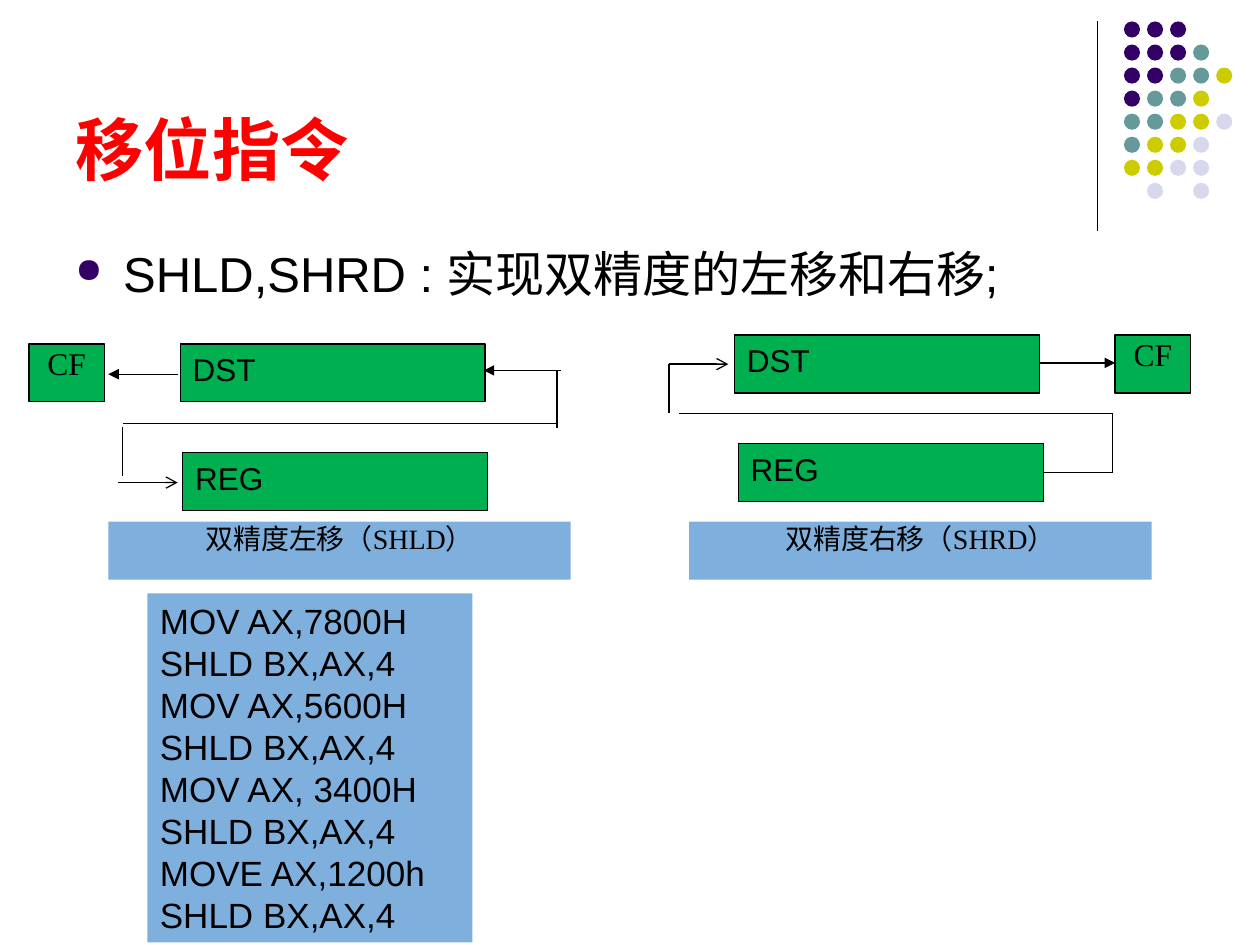
import lxml.etree
import pptx
import pptx.util
import pptx.dml.color
import pptx.enum.shapes
import pptx.enum.text
import pptx.oxml.ns

COLORS = {
    "ink": "000000", "title": "FF0000", "register": "00B050", "panel": "7FB0DD",
    "P": "330066", "T": "669999", "Y": "CCCC00", "L": "D8D8EC",
}
CJK = "Noto Sans CJK SC"
SANS = "Arial"
SERIF = "Times New Roman"
COLUMNS, ROWS = 100, 75  # square cells of a tenth of an inch
ALIGN = pptx.enum.text.PP_ALIGN
ANCHOR = pptx.enum.text.MSO_ANCHOR
SHAPE = pptx.enum.shapes.MSO_SHAPE


def xml_child(parent, tag, **attributes):
    return lxml.etree.SubElement(parent, pptx.oxml.ns.qn(f"a:{tag}"), **attributes)


class SlideBuilder:
    def __init__(self, deck):
        self.slide = deck.slides.add_slide(deck.slide_layouts[5])
        self.cell_w = deck.slide_width / COLUMNS
        self.cell_h = deck.slide_height / ROWS

    def x(self, columns):
        return round(columns * self.cell_w)

    def y(self, rows):
        return round(rows * self.cell_h)

    def place(self, left, top, width, height):
        return self.x(left), self.y(top), self.x(width), self.y(height)

    def color(self, name):
        return pptx.dml.color.RGBColor.from_string(COLORS[name])

    def add_text(self, paragraph, text, size, font, color="ink", bold=False):
        run = paragraph.add_run()
        run.text = text
        run.font.size = pptx.util.Pt(size)
        run.font.bold = bold
        run.font.color.rgb = self.color(color)
        run.font.name = font
        xml_child(run._r.get_or_add_rPr(), "ea", typeface=CJK)

    def title(self, box, text):
        title = self.slide.shapes.title
        title.left, title.top, title.width, title.height = self.place(*box)
        frame = title.text_frame
        frame.auto_size = pptx.enum.text.MSO_AUTO_SIZE.NONE
        frame.vertical_anchor = ANCHOR.BOTTOM
        frame.paragraphs[0].alignment = ALIGN.LEFT
        self.add_text(frame.paragraphs[0], text, 39, CJK, "title", True)

    def bullet(self, box, text):
        frame = self.slide.shapes.add_textbox(*self.place(*box)).text_frame
        frame.word_wrap = True
        paragraph = frame.paragraphs[0]
        props = paragraph._p.get_or_add_pPr()
        indent = self.x(3.8)
        props.set("marL", str(indent))
        props.set("indent", str(-indent))
        xml_child(xml_child(props, "buClr"), "srgbClr", val=COLORS["P"])
        xml_child(props, "buSzPct", val="70000")
        xml_child(props, "buChar", char="●")
        self.add_text(paragraph, text, 28, SANS)

    def shape(self, kind, box, fill, outlined=False):
        shape = self.slide.shapes.add_shape(kind, *self.place(*box))
        shape.shadow.inherit = False
        shape.fill.solid()
        shape.fill.fore_color.rgb = self.color(fill)
        if outlined:
            shape.line.color.rgb = self.color("ink")
            shape.line.width = pptx.util.Pt(0.75)
        else:
            shape.line.fill.background()
        return shape

    def block(self, box, lines, fill, size, font=SANS, centered=False, pitch=None):
        shape = self.shape(SHAPE.RECTANGLE, box, fill, fill == "register")
        frame = shape.text_frame
        frame.word_wrap = True
        frame.vertical_anchor = ANCHOR.TOP
        if centered:
            frame.margin_left = frame.margin_right = 0
            frame.margin_top = frame.margin_bottom = 0
        for number, line in enumerate(lines):
            paragraph = frame.add_paragraph() if number else frame.paragraphs[0]
            paragraph.alignment = ALIGN.CENTER if centered else ALIGN.LEFT
            if pitch:
                paragraph.line_spacing = pptx.util.Pt(pitch)
            self.add_text(paragraph, line, size, font)

    def line(self, x1, y1, x2, y2, arrow=None):
        line = self.slide.shapes.add_connector(
            pptx.enum.shapes.MSO_CONNECTOR.STRAIGHT,
            self.x(x1), self.y(y1), self.x(x2), self.y(y2))
        line.line.color.rgb = self.color("ink")
        line.line.width = pptx.util.Pt(0.75)
        props = line._element.spPr
        if arrow:
            xml_child(props.get_or_add_ln(), "tailEnd", type=arrow)
        xml_child(props, "effectLst")

    def dots(self, left, top, pitch, size, pattern):
        for row, keys in enumerate(pattern):
            for column, key in enumerate(keys):
                if key in COLORS:
                    self.shape(SHAPE.OVAL, (left + column * pitch, top + row * pitch,
                                            size, size), key)

    def shift_diagram(self, dst, reg, carry, caption_left, caption, wires):
        for label, corner in (("DST", dst), ("REG", reg)):
            self.block((*corner, 24.2, 4.6), [label], "register", 18)
        self.block((*carry, 6, 4.6), ["CF"], "register", 18, SERIF, True)
        self.block((caption_left, 41.4, 36.7, 4.6), [caption], "panel", 16, SERIF, True)
        for wire in wires:
            self.line(*wire)


def main():
    deck = pptx.Presentation()
    deck.slide_width = pptx.util.Inches(10)
    deck.slide_height = pptx.util.Inches(7.5)
    page = SlideBuilder(deck)

    # Corner ornament
    page.line(87.1, 1.7, 87.1, 18.3)
    page.dots(89.2, 1.7, 1.83, 1.28, [
        "PPP", "PPPT", "PPTTY", "PTTY", "TTYYL", "TYYL", "YYLL", ".L.L"])

    # Heading and statement
    page.title((5, 1.3, 82.5, 14.2), "移位指令")
    page.bullet((5, 18.8, 90, 48.2), "SHLD,SHRD : 实现双精度的左移和右移;")

    # Double-precision right shift
    page.shift_diagram((58.3, 26.6), (58.6, 35.2), (88.5, 26.6), 54.7, "双精度右移（SHRD）", [
        (82.5, 28.8, 88.5, 28.8, "triangle"),
        (53.1, 28.9, 57.8, 28.9, "arrow"),
        (53.1, 28.9, 53.1, 32.8),
        (53.9, 32.8, 88.3, 32.8),
        (88.3, 32.8, 88.3, 37.5),
        (88.3, 37.5, 82.8, 37.5),
    ])

    # Double-precision left shift
    page.shift_diagram((14.3, 27.3), (14.5, 35.9), (2.3, 27.3), 8.6, "双精度左移（SHLD）", [
        (14.1, 29.7, 8.6, 29.7, "triangle"),
        (44.5, 29.4, 38.4, 29.4, "triangle"),
        (44.2, 29.4, 44.2, 34),
        (9.8, 33.6, 44.2, 33.6),
        (9.7, 33.9, 9.7, 37.8),
        (9.4, 38.3, 14.1, 38.3, "arrow"),
    ])

    # Code example
    shift = "SHLD BX,AX,4"
    loads = ["MOV AX,7800H", "MOV AX,5600H", "MOV AX, 3400H", "MOVE AX,1200h"]
    code = [line for load in loads for line in (load, shift)]
    page.block((11.7, 47.1, 25.8, 27.7), code, "panel", 20, pitch=24)

    deck.save("out.pptx")


if __name__ == "__main__":
    main()
